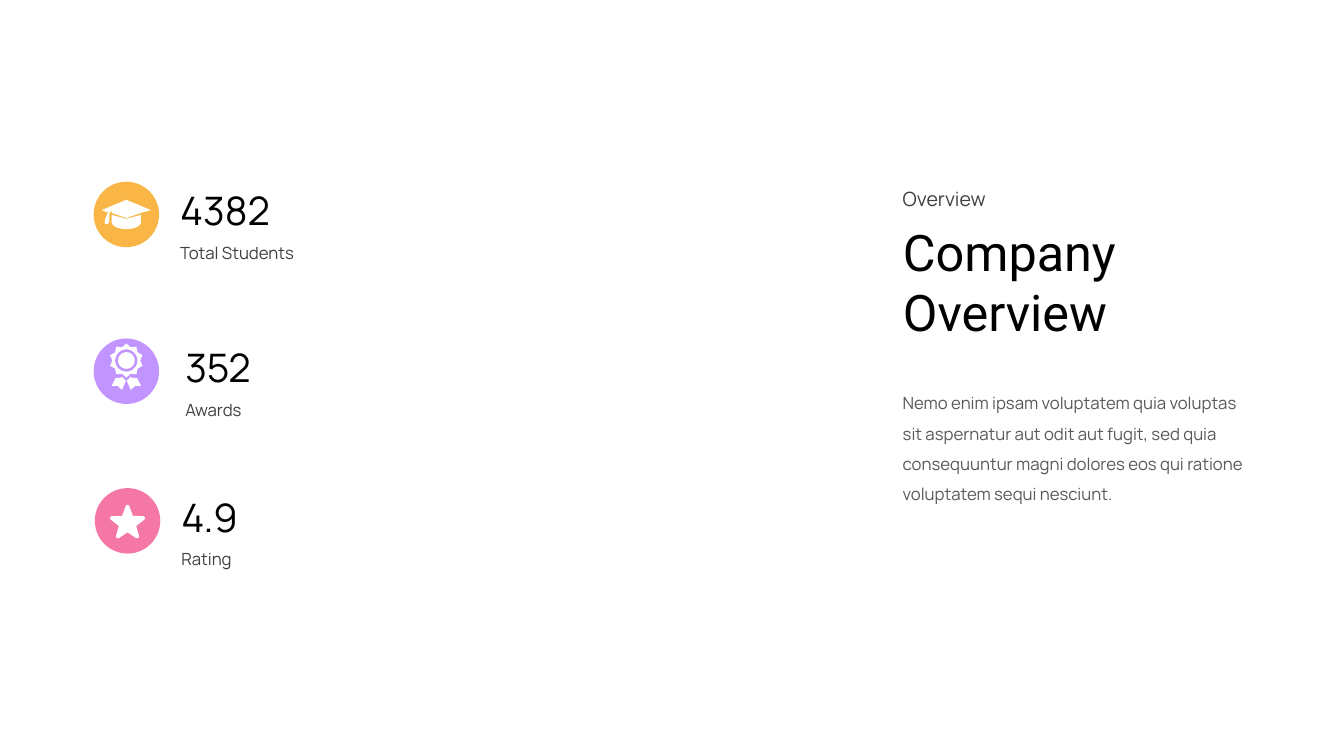
from dataclasses import dataclass
from math import cos, radians, sin

from pptx import Presentation
from pptx.dml.color import RGBColor as RGB
from pptx.enum.shapes import MSO_SHAPE as SHAPE
from pptx.enum.text import MSO_ANCHOR as ANCHOR, MSO_AUTO_SIZE as AUTO, PP_ALIGN as ALIGN
from pptx.util import Cm, Pt


@dataclass(frozen=True)
class Theme:
    body_font: str = "Manrope"
    title_font: str = "Roboto"
    black: str = "000000"
    dark: str = "404040"
    grey: str = "595959"
    white: str = "FFFFFF"
    orange: str = "F9B545"
    purple: str = "C294FF"
    pink: str = "F577A5"
    title: int = 36
    value: int = 28
    kicker: int = 14
    small: int = 12


T = Theme()
DISC = 1.65


def paint(sp, color):
    sp.fill.solid()
    sp.fill.fore_color.rgb = RGB.from_string(color)
    sp.line.fill.background()
    sp.shadow.inherit = False


def fill_text(sp, text, size, color, font=T.body_font, wrap=False, spacing=1.0):
    tf = sp.text_frame
    tf.text = text
    tf.word_wrap = wrap
    tf.auto_size = AUTO.SHAPE_TO_FIT_TEXT
    tf.vertical_anchor = ANCHOR.TOP
    for p in tf.paragraphs:
        p.alignment = ALIGN.LEFT
        p.line_spacing = spacing
        for r in p.runs:
            r.font.name = font
            r.font.size = Pt(size)
            r.font.color.rgb = RGB.from_string(color)


def add_text(s, box, *args, **kwargs):
    fill_text(s.shapes.add_textbox(*map(Cm, box)), *args, **kwargs)


def arc(x, y, rx, ry, start=0, end=360, steps=36):
    """Points on an ellipse, with angles clockwise from the right."""
    angles = [radians(start + (end - start) * i / steps) for i in range(steps + 1)]
    return [(x + rx * cos(a), y + ry * sin(a)) for a in angles]


def add_outline(s, x, y, *contours):
    """One white freeform whose contours, in cm, are relative to (x, y)."""
    builder = None
    for contour in contours:
        points = [(Cm(x + dx), Cm(y + dy)) for dx, dy in contour]
        if builder is None:
            builder = s.shapes.build_freeform(*points[0])
        else:
            builder.move_to(*points[0])
        builder.add_line_segments(points[1:], close=True)
    paint(builder.convert_to_shape(), T.white)


def cap_icon(s, x, y):
    body = [(-0.37, 0.01), (0, 0.11), (0.37, 0.01)] + arc(0, 0.19, 0.37, 0.18, 0, 180)
    board = [(-0.62, -0.11), (0, -0.37), (0.62, -0.11), (0.37, -0.04), (0, 0.09),
             (-0.37, -0.04), (-0.34, -0.09), (-0.42, -0.06), (-0.42, -0.04),
             (-0.44, 0.22), (-0.5, 0.25), (-0.55, 0.22), (-0.53, 0.11),
             (-0.47, -0.04), (-0.47, -0.09), (-0.5, -0.06)]
    add_outline(s, x, y, body)
    add_outline(s, x, y, board)


def award_icon(s, x, y):
    cy = -0.27
    rosette = []
    for i in range(20):
        a, radius = radians(18 * i - 90), (0.43, 0.35)[i % 2]
        rosette.append((radius * cos(a), cy + radius * sin(a)))
    ribbon = [(0.11, 0.14), (0.15, 0.17), (0.27, 0.17), (0.37, 0.37),
              (0.22, 0.37), (0.11, 0.47), (0.01, 0.24)]
    mirrored = [(-dx, dy) for dx, dy in ribbon]
    add_outline(s, x, y, rosette, arc(0, cy, 0.28, 0.28), arc(0, cy, 0.21, 0.21),
                ribbon, mirrored)


def star_icon(s, x, y):
    """Five-pointed star with rounded tips."""
    cy, star = 0.06, []
    for tip in range(-90, 270, 72):
        a, notch = radians(tip), radians(tip + 36)
        star += arc(0.41 * cos(a), cy + 0.41 * sin(a), 0.05, 0.05, tip - 70, tip + 70, 8)
        star.append((0.23 * cos(notch), cy + 0.23 * sin(notch)))
    add_outline(s, x, y, star)


def add_stat(s, x, y, text_x, icon, color, value, value_w, label, label_w):
    paint(s.shapes.add_shape(SHAPE.OVAL, Cm(x), Cm(y), Cm(DISC), Cm(DISC)), color)
    icon(s, x + DISC / 2, y + DISC / 2)
    add_text(s, (text_x, y, value_w, 1.45), value, T.value, T.black)
    add_text(s, (text_x, y + 1.41, label_w, 0.76), label, T.small, T.dark)


def add_overview(s, x, y):
    add_text(s, (x, y, 2.84, 0.86), "Overview", T.kicker, T.dark)
    title = s.shapes.title
    title.left, title.top, title.width, title.height = map(Cm, (x, y + 0.86, 6.65, 3.33))
    fill_text(title, "Company\nOverview", T.title, T.black, T.title_font)
    add_text(s, (x, y + 4.95, 9.47, 3.28),
             "Nemo enim ipsam voluptatem quia voluptas sit aspernatur aut odit aut "
             "fugit, sed quia consequuntur magni dolores eos qui ratione voluptatem "
             "sequi nesciunt.", T.small, T.grey, wrap=True, spacing=1.5)


def main():
    prs = Presentation()
    prs.slide_width, prs.slide_height = Cm(33.87), Cm(19.05)
    s = prs.slides.add_slide(prs.slide_layouts[5])
    stats = [
        (2.36, 4.58, 4.29, cap_icon, T.orange, "4382", 2.97, "Total Students", 3.56),
        (2.36, 8.53, 4.42, award_icon, T.purple, "352", 2.31, "Awards", 2.11),
        (2.39, 12.3, 4.32, star_icon, T.pink, "4.9", 2.03, "Rating", 1.88),
    ]
    for stat in stats:
        add_stat(s, *stat)
    add_overview(s, 22.5, 4.58)
    prs.save("out.pptx")


if __name__ == "__main__":
    main()
